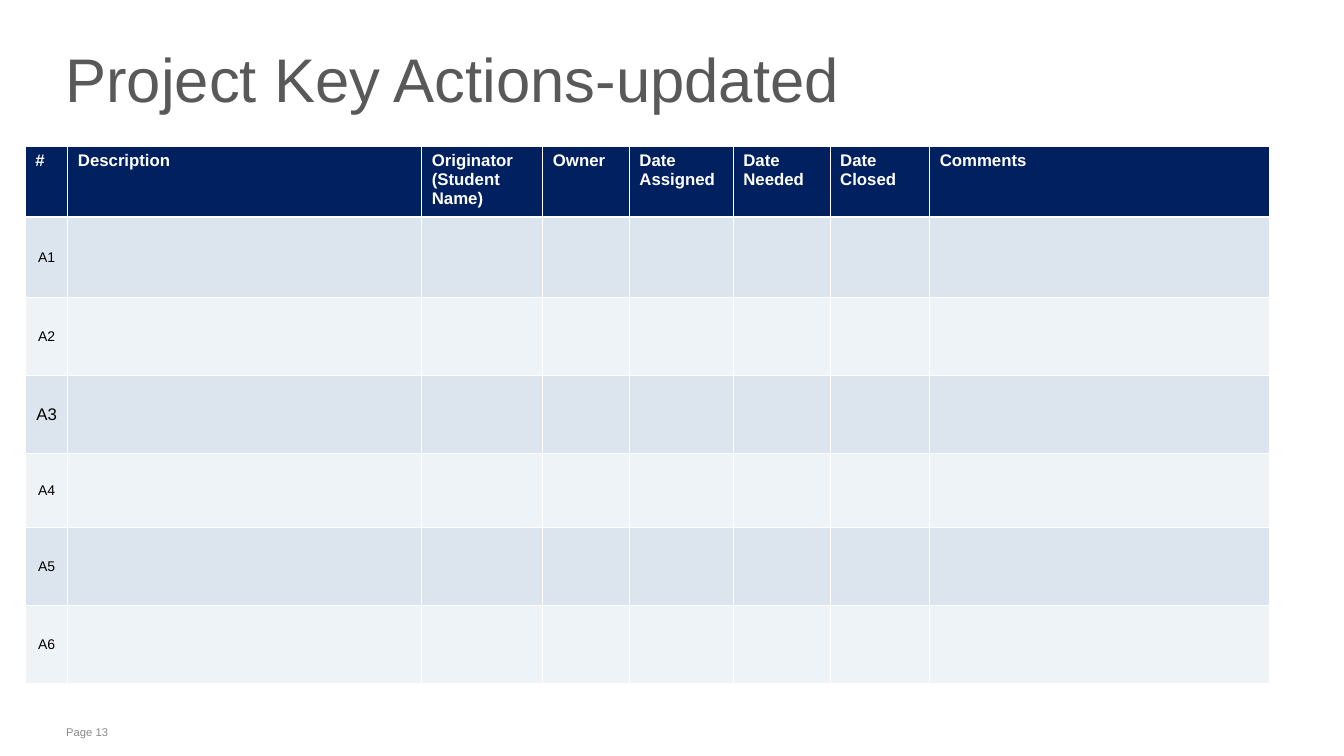
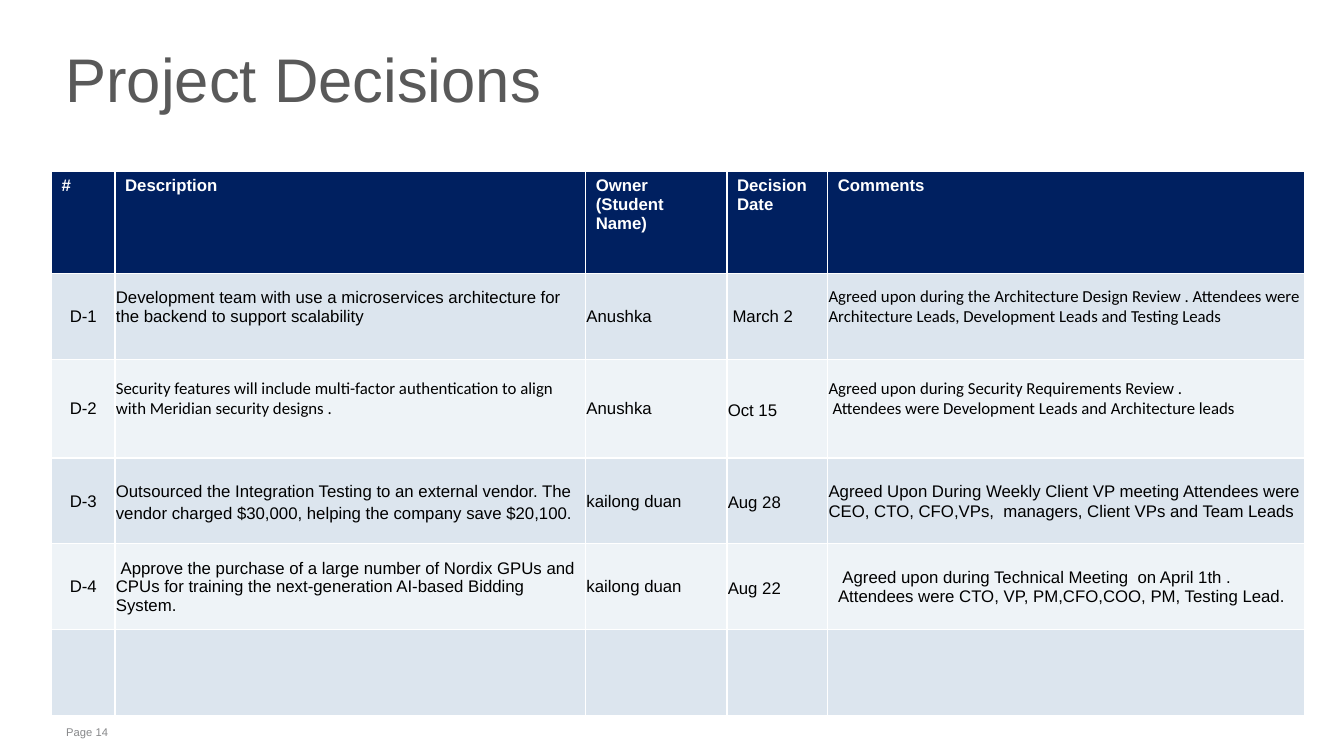
from pptx import Presentation
from pptx.dml.color import RGBColor
from pptx.enum import text as t
from pptx.util import Cm, Pt

NAVY = RGBColor(0x00, 0x20, 0x60)
BANDS = RGBColor(0xDC, 0xE5, 0xEE), RGBColor(0xEE, 0xF3, 0xF7)
WHITE = RGBColor(0xFF, 0xFF, 0xFF)
BLACK = RGBColor(0x00, 0x00, 0x00)
TITLE_GREY = RGBColor(0x59, 0x59, 0x59)
PAGE_GREY = RGBColor(0x87, 0x88, 0x8A)
FONT = "Arial"

# Cell formats: font, size, line spacing, space around, lead (first-line indents, cm), lift (bottom margin, cm)
SMALL = {"size": 10}
LOOSE = {"spacing": 1.15}

# Each body row: number, then the remaining cells as text or (text, format)
SLIDES = [
    {
        "title": "Project Key Actions-updated",
        "page": "Page 13",
        "at": (0.64, 3.69),
        "columns": [("#", 1.07), ("Description", 8.92),
                    ("Originator\n(Student Name)", 3.05), ("Owner", 2.18),
                    ("Date Assigned", 2.62), ("Date Needed", 2.44),
                    ("Date Closed", 2.51), ("Comments", 8.56)],
        "heights": [1.57, 2.03, 1.96, 1.96, 1.88, 1.96, 1.96],
        "rows": [[("A1", SMALL)], [("A2", SMALL)], ["A3"],
                 [("A4", SMALL)], [("A5", SMALL)], [("A6", SMALL)]],
    },
    {
        "title": "Project Decisions",
        "page": "Page 14",
        "at": (1.3, 4.32),
        "columns": [("#", 1.6), ("Description", 11.86),
                    ("Owner\n(Student Name)", 3.56), ("Decision Date", 2.54),
                    ("Comments", 12.01)],
        "heights": [2.57, 2.16, 2.49, 2.16, 2.16, 2.16],
        "rows": [
            ["D-1",
             ("Development team with use a microservices architecture for the "
              "backend to support scalability", {"lift": 0.5}),
             "Anushka",
             ("March 2", {"lead": [0.12]}),
             ("Agreed upon during the Architecture Design Review . Attendees were "
              "Architecture Leads, Development Leads and Testing Leads",
              {"font": "Calibri", "lift": 0.5})],
            ["D-2",
             ("Security features will include multi-factor authentication to align "
              "with Meridian security designs .", {"font": "Calibri", "lift": 0.5}),
             "Anushka",
             ("Oct 15", LOOSE),
             ("Agreed upon during Security Requirements Review .\n"
              "Attendees were Development Leads and Architecture leads",
              {"font": "Calibri", "lift": 0.5, "lead": [0, 0.1]})],
            ["D-3",
             ("Outsourced the Integration Testing to an external vendor. The vendor "
              "charged $30,000, helping the company save $20,100.",
              {"spacing": 1.15, "around": 12}),
             "kailong duan",
             ("Aug 28", LOOSE),
             ("Agreed Upon During Weekly Client VP meeting Attendees were CEO, CTO, "
              "CFO,VPs,  managers, Client VPs and Team Leads",
              {"spacing": Pt(14.2)})],
            ["D-4",
             ("Approve the purchase of a large number of Nordix GPUs and CPUs for "
              "training the next-generation AI-based Bidding System.", {"lead": [0.12]}),
             "kailong duan",
             ("Aug 22", LOOSE),
             ("Agreed upon during Technical Meeting  on April 1th .\n"
              "Attendees were CTO, VP, PM,CFO,COO, PM, Testing Lead.",
              {"lead": [0.35, 0.24]})],
            [],
        ],
    },
]


def style(paragraph, size, color, font=FONT, bold=False):
    for run in paragraph.runs:
        run.font.name, run.font.size, run.font.bold = font, Pt(size), bold
        run.font.color.rgb = color


def add_line(slide, wording, box, size, color, anchor, spacing, inset):
    frame = slide.shapes.add_textbox(*map(Cm, box)).text_frame
    frame.word_wrap = True
    frame.vertical_anchor = anchor
    frame.margin_left = frame.margin_right = Cm(0.2)
    frame.margin_top = frame.margin_bottom = Cm(inset)
    frame.text = wording
    frame.paragraphs[0].line_spacing = spacing
    style(frame.paragraphs[0], size, color)


def fill_cell(cell, color):
    cell.fill.solid()
    cell.fill.fore_color.rgb = color


def write_body(cell, wording, centred, font=FONT, size=12, spacing=None,
               around=None, lead=(), lift=0):
    cell.text_frame.text = wording
    cell.vertical_anchor = t.MSO_ANCHOR.MIDDLE
    cell.margin_left = cell.margin_right = cell.margin_top = Cm(0.02)
    cell.margin_bottom = Cm(lift)
    for i, paragraph in enumerate(cell.text_frame.paragraphs):
        if centred:
            paragraph.alignment = t.PP_ALIGN.CENTER
        if spacing:
            paragraph.line_spacing = spacing
        if around:
            paragraph.space_before = paragraph.space_after = Pt(around)
        if i < len(lead):
            paragraph._p.get_or_add_pPr().set("indent", str(Cm(lead[i])))
        style(paragraph, size, BLACK, font)


def add_log(slide, content):
    columns, heights = content["columns"], content["heights"]
    size = sum(width for _, width in columns), sum(heights)
    log = slide.shapes.add_table(len(heights), len(columns),
                                 *map(Cm, content["at"] + size)).table
    for row, height in zip(log.rows, heights):
        row.height = Cm(height)

    # Header row
    for c, (heading, width) in enumerate(columns):
        log.columns[c].width = Cm(width)
        cell = log.cell(0, c)
        fill_cell(cell, NAVY)
        cell.text_frame.text = heading
        for paragraph in cell.text_frame.paragraphs:
            style(paragraph, 12, WHITE, bold=True)

    # Banded body rows
    for r, entries in enumerate(content["rows"], 1):
        for c in range(len(columns)):
            fill_cell(log.cell(r, c), BANDS[(r - 1) % 2])
        for c, entry in enumerate(entries):
            wording, look = (entry, {}) if isinstance(entry, str) else entry
            write_body(log.cell(r, c), wording, c == 0, **look)


def main():
    deck = Presentation()
    deck.slide_width, deck.slide_height = Cm(33.87), Cm(19.05)
    for content in SLIDES:
        slide = deck.slides.add_slide(deck.slide_layouts[6])
        add_line(slide, content["page"], (1.47, 18.14, 27.41, 0.61), 8, PAGE_GREY,
                 t.MSO_ANCHOR.TOP, 1.0, 0.13)
        add_line(slide, content["title"], (1.45, 0.66, 27.76, 3.02), 44, TITLE_GREY,
                 t.MSO_ANCHOR.MIDDLE, 0.75, 0)
        add_log(slide, content)
    deck.save("out.pptx")


if __name__ == "__main__":
    main()
